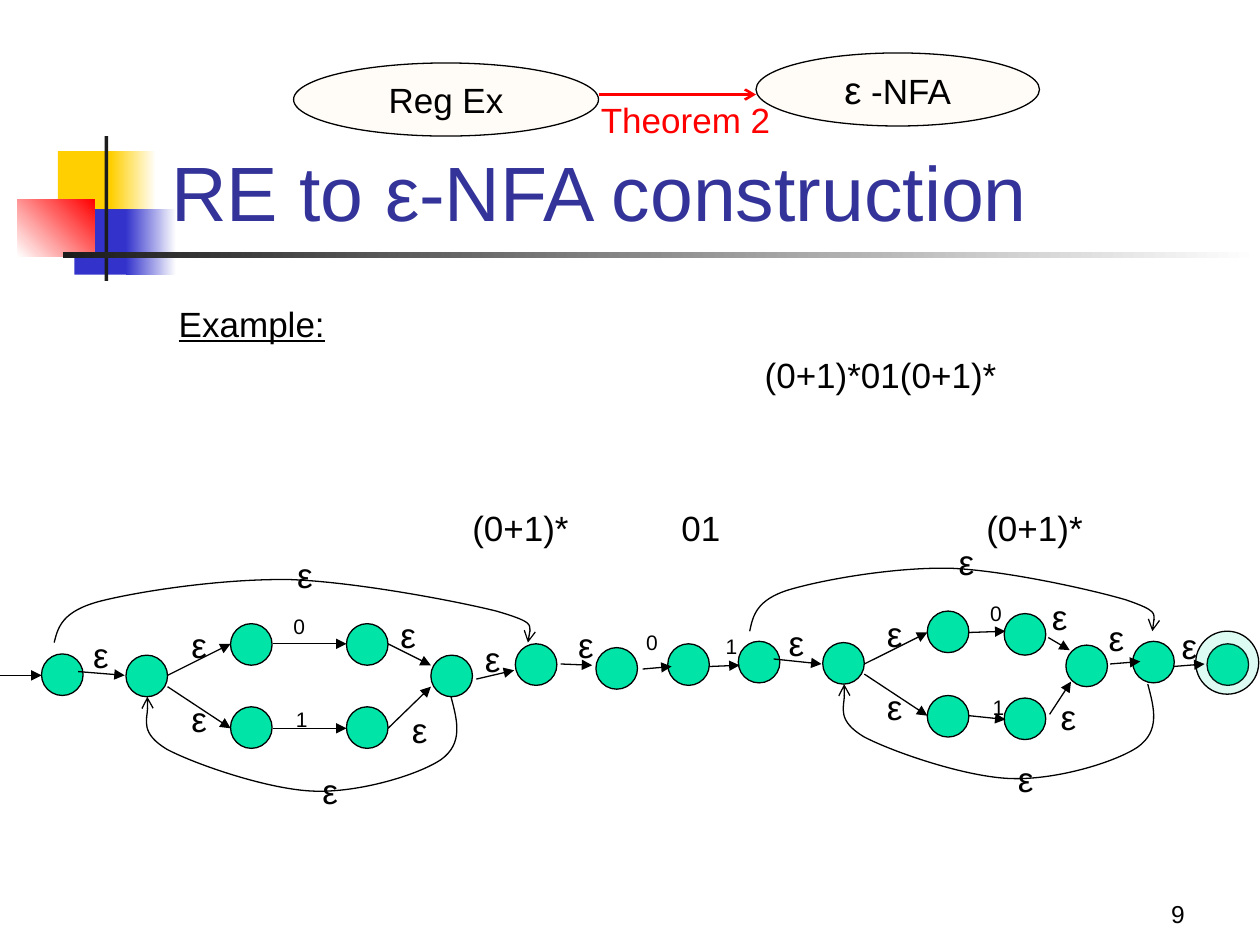
from lxml import etree
from pptx import Presentation
from pptx import util as u
from pptx.dml.color import RGBColor
from pptx.enum import shapes, text
from pptx.oxml.ns import qn

deck = Presentation()
deck.slide_width, deck.slide_height = u.Inches(10), u.Inches(7.5)
page = deck.slides.add_slide(deck.slide_layouts[5])
COL, ROW = deck.slide_width / 10, deck.slide_height / 7.5
OVAL, RECT = shapes.MSO_SHAPE.OVAL, shapes.MSO_SHAPE.RECTANGLE
LEFT, CENTER, RIGHT = text.PP_ALIGN.LEFT, text.PP_ALIGN.CENTER, text.PP_ALIGN.RIGHT
TOP, MIDDLE, BOTTOM = text.MSO_ANCHOR.TOP, text.MSO_ANCHOR.MIDDLE, text.MSO_ANCHOR.BOTTOM
BLACK, GREEN, RED = "000000", "00E4A8", "FF0000"
color = RGBColor.from_string


def add_figure(kind, left, top, width, height, fill, line=None, opacity=None):
    shape = page.shapes.add_shape(kind, round(left * COL), round(top * ROW),
                                  round(width * COL), round(height * ROW))
    shape.shadow.inherit = False
    shape.fill.solid()
    shape.fill.fore_color.rgb = color(fill)
    if opacity:
        tint = shape._element.spPr.find(qn("a:solidFill"))[0]
        etree.SubElement(tint, qn("a:alpha")).set("val", str(opacity * 1000))
    if line:
        shape.line.color.rgb = color(line)
        shape.line.width = u.Pt(0.75)
    else:
        shape.line.fill.background()
    return shape


def write(box, *spans, ink=BLACK, align=LEFT, anchor=TOP, wrap=False):
    frame = box.text_frame
    frame.word_wrap, frame.vertical_anchor = wrap, anchor
    para = frame.paragraphs[0]
    para.alignment = align
    for words, size in spans:
        span = para.add_run()
        span.text = words
        span.font.size, span.font.name = u.Pt(size), "Arial"
        span.font.color.rgb = color(ink)
    return para


# Corner ornament and title rule: solid, or fading from one colour to another
for left, top, width, height, first, last, angle in [
    (0.46, 1.2, 0.48, 0.52, "FFCF01", None, 0),
    (0.88, 1.2, 0.36, 0.52, "FFCF01", "FFFFFF", 0),
    (0.59, 1.66, 0.46, 0.52, "3333CC", None, 0),
    (1, 1.66, 0.4, 0.52, "3333CC", "FFFFFF", 0),
    (0.14, 1.58, 0.61, 0.46, "FFFFFF", RED, 45),
    (0.83, 1.08, 0.03, 1.15, "1C1C1C", None, 0),
    (0.5, 2, 9.5, 0.05, "1C1C1C", "FFFFFF", 0),
]:
    block = add_figure(RECT, left, top, width, height, first)
    if last:
        block.fill.gradient()
        block.fill.gradient_angle = angle
        for stop, shade in zip(block.fill.gradient_stops, (first, last)):
            stop.color.rgb = color(shade)

# Title
title = page.shapes.title
title.left, title.top = round(1.26 * COL), round(0.68 * ROW)
title.width, title.height = round(8.52 * COL), round(1.25 * ROW)
write(title, ("RE to ε-NFA construction", 44), ink="333399", anchor=BOTTOM, wrap=True)
title.text_frame.auto_size = text.MSO_AUTO_SIZE.NONE

# Theorem header
for left, top, width, spans in [
    (6, 0.42, 2.25, [("ε", 22), (" -NFA", 20)]),
    (2.33, 0.5, 2.42, [("Reg Ex", 20)]),
]:
    oval = add_figure(OVAL, left, top, width, 0.58, "FFCC99", BLACK, 8)
    write(oval, *spans, align=CENTER, anchor=MIDDLE)

# States of the automaton, the last one accepting
for left, top in [
    (0.33, 5.19), (1, 5.2), (1.83, 4.95), (1.83, 5.61), (2.75, 4.95), (2.75, 5.61),
    (3.42, 5.2), (4.09, 5.11), (4.73, 5.14), (5.3, 5.11), (5.86, 5.09), (6.53, 5.1),
    (7.36, 4.85), (7.36, 5.52), (7.97, 4.87), (7.97, 5.54), (8.46, 5.12),
    (8.99, 5.09), (9.58, 5.11),
]:
    add_figure(OVAL, left, top, 0.33, 0.33, GREEN, BLACK)
add_figure(OVAL, 9.49, 5.01, 0.5, 0.5, GREEN, BLACK, 13)

# Transitions: straight arrows
arrows = []
for x1, y1, x2, y2 in [
    (4.75, 0.75, 6, 0.75),
    (0, 5.36, 0.33, 5.36), (0.62, 5.33, 0.99, 5.36),
    (1.33, 5.36, 1.83, 5.11), (1.33, 5.45, 1.83, 5.78),
    (2.17, 5.11, 2.75, 5.11), (2.17, 5.78, 2.75, 5.78),
    (3.08, 5.11, 3.42, 5.28), (3.08, 5.78, 3.42, 5.45),
    (3.78, 5.39, 4.08, 5.32), (4.45, 5.27, 4.7, 5.28),
    (5.1, 5.31, 5.33, 5.29), (5.63, 5.29, 5.87, 5.28), (6.14, 5.23, 6.52, 5.27),
    (6.86, 5.27, 7.36, 5.02), (6.86, 5.35, 7.36, 5.68),
    (7.69, 5.02, 7.98, 5.01), (7.69, 5.68, 7.98, 5.71),
    (8.32, 5.06, 8.49, 5.16), (8.33, 5.67, 8.5, 5.41),
    (8.81, 5.27, 9.05, 5.25), (9.31, 5.29, 9.56, 5.27),
]:
    arrow = page.shapes.add_connector(shapes.MSO_CONNECTOR.STRAIGHT, round(x1 * COL),
                                      round(y1 * ROW), round(x2 * COL), round(y2 * ROW))
    theorem = y1 < 1
    arrows.append((arrow, RED if theorem else BLACK, 1.5 if theorem else 0.75,
                   "arrow" if theorem else "triangle"))

# Transitions: skip and repeat loops, as cubic curves measured from their start
skip = [(0, 0), (0.03, -0.12), (0.06, -0.25), (0.37, -0.33), (0.69, -0.41),
        (1.35, -0.51), (1.88, -0.5), (2.4, -0.48), (3.19, -0.33), (3.51, -0.25),
        (3.82, -0.16), (3.79, -0.08), (3.76, 0)]
repeat = [(0, 0), (0.05, 0.19), (0.1, 0.37), (-0.08, 0.5), (-0.26, 0.62),
          (-0.72, 0.76), (-1.08, 0.75), (-1.44, 0.74), (-2.02, 0.54), (-2.25, 0.42),
          (-2.47, 0.29), (-2.39, 0.07), (-2.41, 0)]
for x, y, stretch, curve in [(0.43, 5.1, 1, skip), (5.95, 5.01, 0.85, skip),
                             (3.58, 5.53, 1, repeat), (9.11, 5.43, 1, repeat)]:
    points = [(round((x + stretch * dx) * COL), round((y + dy) * ROW)) for dx, dy in curve]
    builder = page.shapes.build_freeform(*points[0])
    builder.add_line_segments(points[1:], close=False)
    loop = builder.convert_to_shape()
    loop.fill.background()
    # Every three straight segments become one cubic curve
    outline = next(loop._element.iter(qn("a:path")))
    segments = outline.findall(qn("a:lnTo"))
    for start in range(0, len(segments), 3):
        bend = etree.SubElement(outline, qn("a:cubicBezTo"))
        for segment in segments[start:start + 3]:
            bend.append(segment[0])
            outline.remove(segment)
    arrows.append((loop, BLACK, 0.75, "arrow"))

# Line style and heads
for arrow, ink, width, head in arrows:
    arrow.line.color.rgb = color(ink)
    arrow.line.width = u.Pt(width)
    etree.SubElement(arrow.line._get_or_add_ln(), qn("a:tailEnd")).set("type", head)
    etree.SubElement(arrow._element.spPr, qn("a:effectLst"))

# Transition labels, then captions and page number
labels = [("ε", 20, x, y, 0.32, 0.43) for x, y in [
    (0.64, 4.98), (1.42, 4.9), (1.42, 5.49), (2.26, 4.34), (2.46, 6.06), (3.08, 4.82),
    (3.17, 5.57), (3.75, 5.01), (4.49, 4.9), (6.16, 4.88), (6.94, 4.81), (6.94, 5.39),
    (7.51, 4.24), (7.98, 5.96), (8.25, 4.68), (8.32, 5.47), (8.7, 4.84), (9.28, 4.91),
]]
labels += [(digit, 12, x, y, 0.29, 0.3) for digit, x, y in [
    ("0", 2.23, 4.82), ("1", 2.25, 5.56), ("0", 5.03, 4.95), ("1", 5.66, 4.98),
    ("0", 7.76, 4.72), ("1", 7.78, 5.46),
]]
labels += [
    ("Theorem 2", 20, 4.67, 0.73, 1.55, 0.43), ("Example:", 20, 1.32, 2.35, 1.36, 0.43),
    ("(0+1)*01(0+1)*", 20, 5.97, 2.76, 2.05, 0.43), ("(0+1)*", 20, 3.65, 3.97, 0.97, 0.43),
    ("01", 20, 5.31, 3.97, 0.51, 0.43), ("(0+1)*", 20, 7.73, 3.97, 0.97, 0.43),
    ("9", 14, 7.42, 6.92, 2.08, 0.5),
]
for words, size, left, top, width, height in labels:
    box = page.shapes.add_textbox(round(left * COL), round(top * ROW),
                                  round(width * COL), round(height * ROW))
    number = words == "9"
    para = write(box, (words, size), ink=RED if words == "Theorem 2" else BLACK,
                 align=RIGHT if number else LEFT, anchor=BOTTOM if number else TOP,
                 wrap=number)
    if words == "Example:":
        para.runs[0].font.underline = True

deck.save("out.pptx")
